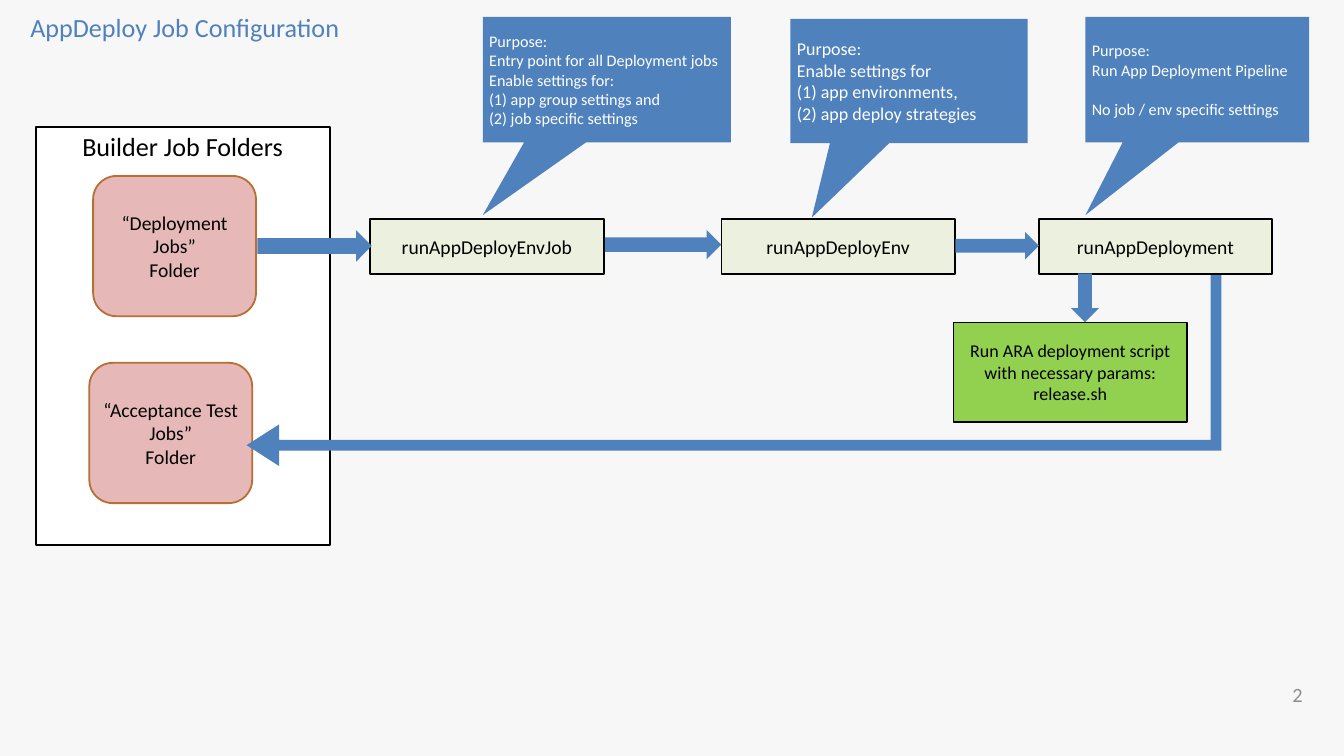
from pptx import Presentation
from pptx.dml.color import RGBColor
from pptx.enum.shapes import MSO_SHAPE as Preset
from pptx.enum.text import MSO_ANCHOR as Anchor, PP_ALIGN as Align
from pptx.util import Cm, Pt

BLUE, BLACK, WHITE = "4F81BD", "000000", "FFFFFF"


def color(hex_string):
    """Turn a hex string into a colour."""
    return RGBColor.from_string(hex_string)


def write(shape, text, size=21.8, ink=BLACK, align=Align.CENTER,
          anchor=Anchor.MIDDLE, last_gap=0):
    """Fill a shape with text: newline splits paragraphs, \\v breaks a line."""
    frame = shape.text_frame
    frame.word_wrap = True
    frame.vertical_anchor = anchor
    frame.text = text
    for paragraph in frame.paragraphs:
        paragraph.alignment = align
        paragraph.font.name = "Calibri"
        paragraph.font.size = Pt(size)
        paragraph.font.color.rgb = color(ink)
    if last_gap:
        frame.paragraphs[-1].space_before = Pt(last_gap)


def add_block(preset, left, top, width, height, fill=BLUE, outline=None):
    """Add a flat filled preset shape, measured in centimetres."""
    shape = slide.shapes.add_shape(preset, Cm(left), Cm(top), Cm(width), Cm(height))
    shape.shadow.inherit = False
    shape.fill.solid()
    shape.fill.fore_color.rgb = color(fill)
    if outline:
        shape.line.color.rgb = color(outline)
        shape.line.width = Pt(2)
    else:
        shape.line.fill.background()
    return shape


presentation = Presentation()
presentation.slide_width, presentation.slide_height = Cm(52.81), Cm(29.69)
slide = presentation.slides.add_slide(presentation.slide_layouts[6])
slide.background.fill.solid()
slide.background.fill.fore_color.rgb = color("F7F7F7")

# Title and slide number
title = slide.shapes.add_textbox(Cm(0.94), Cm(0.25), Cm(15.75), Cm(1.65))
write(title, "AppDeploy Job Configuration", size=29.1, ink=BLUE, align=Align.LEFT)
number = slide.shapes.add_textbox(Cm(48.92), Cm(26.49), Cm(2.51), Cm(1.57))
write(number, "2", size=22.6, ink="8C8C8C", align=Align.RIGHT)

# Job folders
container = add_block(Preset.RECTANGLE, 1.4, 5, 11.56, 16.41, WHITE, BLACK)
write(container, "Builder Job Folders", size=29.1, anchor=Anchor.TOP)
for left, top, name in [(3.66, 6.91, "Deployment"), (3.51, 14.25, "Acceptance Test")]:
    folder = add_block(Preset.ROUNDED_RECTANGLE, left, top, 6.4, 5.51, "E6B9B8", "B76F34")
    write(folder, f"“{name} Jobs”\nFolder")

# Return path from the last job to the acceptance tests
return_arrow = add_block(Preset.BENT_UP_ARROW, 25.07, -4.62, 7.54, 38.3)
return_arrow.rotation = 270
return_arrow.element.spPr.xfrm.set("flipH", "1")
for index, ratio in enumerate((0.056, 0.108, 0.169)):
    return_arrow.adjustments[index] = ratio

# Job chain
for left, name in [(14.55, "runAppDeployEnvJob"), (28.35, "runAppDeployEnv"),
                   (40.82, "runAppDeployment")]:
    write(add_block(Preset.FLOWCHART_PROCESS, left, 8.59, 9.17, 2.16, "EBF1DE", BLACK), name)
for left, top, width, height in [(10.11, 9.04, 4.5, 1.24), (23.77, 9.04, 4.57, 1.14),
                                 (37.54, 9.12, 3.28, 1.07)]:
    add_block(Preset.RIGHT_ARROW, left, top, width, height)

# Purpose callouts: box, pointer tip, text size, gap before the last paragraph, text
callouts = [
    ((18.97, 0.66, 9.75, 4.93), (-0.5, 1.08), 18, 0,
     "Entry point for all Deployment jobs\nEnable settings for:\n"
     "(1) app group settings and\n(2) job specific settings"),
    ((31.06, 0.74, 9.32, 4.88), (-0.41, 1.1), 20, 0,
     "Enable settings for\v(1) app environments,\v(2) app deploy strategies"),
    ((42.65, 0.66, 8.79, 4.93), (-0.5, 1.08), 18, 22,
     "Run App Deployment Pipeline\nNo job / env specific settings"),
]
for box, tip, size, gap, purpose in callouts:
    callout = add_block(Preset.RECTANGULAR_CALLOUT, *box)
    callout.adjustments[0], callout.adjustments[1] = tip
    write(callout, f"Purpose:\n{purpose}", size=size, ink=WHITE, align=Align.LEFT,
          last_gap=gap)

# Deployment script
script = add_block(Preset.FLOWCHART_PROCESS, 37.47, 12.67, 9.17, 3.89, "92D050", BLACK)
write(script, "Run ARA deployment script with necessary params: release.sh", size=20)
add_block(Preset.DOWN_ARROW, 42.09, 10.74, 1.09, 1.91)

presentation.save("out.pptx")
